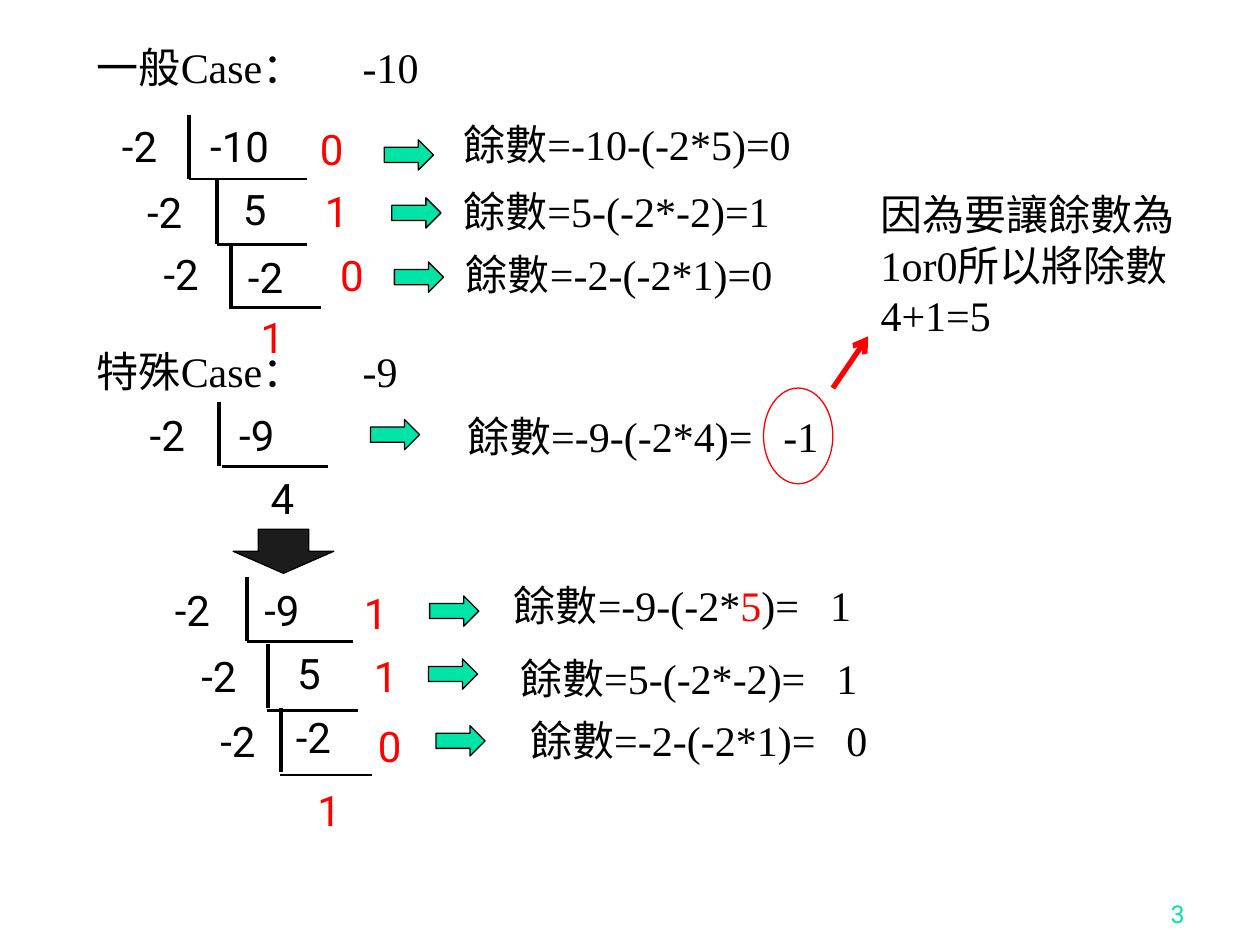
from lxml.etree import SubElement
from pptx import Presentation
from pptx.dml.color import RGBColor
from pptx.enum.shapes import MSO_CONNECTOR, MSO_SHAPE
from pptx.enum.text import MSO_ANCHOR, PP_ALIGN
from pptx.oxml.ns import qn
from pptx.util import Inches, Pt

BLACK, RED, GREEN = "000000", "FF0000", "00E4A8"
SANS, SERIF = "Roboto", "Times New Roman"
DIVISOR_W, EQUATION_W, TEXT_H = 0.63, 3.86, 0.5


def rgb(value):
    return RGBColor.from_string(value)


class SlideBuilder:
    def __init__(self, prs):
        self.slide = prs.slides.add_slide(prs.slide_layouts[6])

    def text(self, x, y, w, runs, color=BLACK, font=SANS, size=24, h=TEXT_H, tab=None):
        sp = self.slide.shapes.add_textbox(Inches(x), Inches(y), Inches(w), Inches(h))
        tf = sp.text_frame
        tf.word_wrap = True
        p = tf.paragraphs[0]
        if tab:
            tabs = SubElement(p._p.get_or_add_pPr(), qn("a:tabLst"))
            SubElement(tabs, qn("a:tab"), pos=str(Inches(tab)), algn="l")
        p.font.name = font
        p.font.size = Pt(size)
        if isinstance(runs, str):
            p.font.color.rgb = rgb(color)
            runs = [(runs, None)]
        for content, run_color in runs:
            r = p.add_run()
            r.text = content
            if run_color:
                r.font.color.rgb = rgb(run_color)
        return tf

    def heading(self, y, content):
        self.text(0.67, y, 8.66, content, font=SERIF, tab=2.11)

    def equation(self, x, y, runs):
        self.text(x, y, EQUATION_W, runs, font=SERIF, tab=2.51)

    def line(self, x1, y1, x2, y2, width, color=BLACK, arrow=False):
        cn = self.slide.shapes.add_connector(
            MSO_CONNECTOR.STRAIGHT, Inches(x1), Inches(y1), Inches(x2), Inches(y2))
        cn.line.color.rgb = rgb(color)
        cn.line.width = Pt(width)
        if arrow:
            SubElement(cn.line._get_or_add_ln(), qn("a:tailEnd"), type="arrow")
        SubElement(cn._element.spPr, qn("a:effectLst"))

    def shape(self, kind, x, y, w, h, fill, line=BLACK):
        sp = self.slide.shapes.add_shape(kind, Inches(x), Inches(y), Inches(w), Inches(h))
        sp.shadow.inherit = False
        sp.fill.solid()
        sp.fill.fore_color.rgb = rgb(fill)
        sp.line.color.rgb = rgb(line)
        sp.line.width = Pt(0.75)

    def step(self, divisor, value, remainder, bar, rule, arrow, equation):
        self.text(*divisor, DIVISOR_W, "-2")
        self.text(*value)
        if remainder:
            self.text(*remainder, color=RED)
        x, y = bar
        self.line(x, y, x, y + 0.51, 2.25)
        left, right, y = rule
        self.line(left, y, right, y, 1.5)
        self.shape(MSO_SHAPE.RIGHT_ARROW, *arrow, 0.39, 0.24, GREEN)
        self.equation(*equation)


STEPS = [
    ((0.87, 0.91), (1.57, 0.91, 1.02, "-10"), (2.44, 0.93, 0.45, "0"),
     (1.5, 0.91), (1.5, 2.44, 1.42), (3.05, 1.11), (3.58, 0.89, "餘數=-10-(-2*5)=0")),
    ((1.07, 1.43), (1.83, 1.41, 0.86, "5"), (2.48, 1.42, 0.63, "1"),
     (1.72, 1.43), (1.72, 2.44, 1.94), (3.11, 1.57), (3.58, 1.42, "餘數=5-(-2*-2)=1")),
    ((1.2, 1.92), (1.87, 1.95, 0.83, "-2"), (2.6, 1.93, 0.45, "0"),
     (1.83, 1.94), (1.83, 2.55, 2.44), (3.13, 2.08), (3.6, 1.92, "餘數=-2-(-2*1)=0")),
    ((1.09, 3.2), (1.8, 3.2, 1.02, "-9"), None,
     (1.74, 3.19), (1.76, 2.6, 3.7), (2.94, 3.33), (3.61, 3.21, "餘數=-9-(-2*4)=\t-1")),
    ((1.29, 4.59), (2, 4.59, 1.02, "-9"), (2.79, 4.61, 0.83, "1"),
     (1.96, 4.58), (1.96, 2.8, 5.09), (3.41, 4.73),
     (3.98, 4.55, [("餘數=-9-(-2*", BLACK), ("5", RED), (")=\t1", BLACK)])),
    ((1.5, 5.11), (2.26, 5.09, 0.87, "5"), (2.87, 5.11, 0.83, "1"),
     (2.13, 5.11), (2.12, 2.84, 5.64), (3.4, 5.23), (4.03, 5.13, "餘數=5-(-2*-2)=\t1")),
    ((1.65, 5.63), (2.25, 5.6, 0.83, "-2"), (2.9, 5.67, 0.45, "0"),
     (2.23, 5.62), (2.22, 2.95, 6.15), (3.46, 5.76), (4.11, 5.62, "餘數=-2-(-2*1)=\t0")),
]


def main():
    prs = Presentation()
    prs.slide_width, prs.slide_height = Inches(10), Inches(7.5)
    s = SlideBuilder(prs)

    s.shape(MSO_SHAPE.OVAL, 6.06, 3.08, 0.55, 0.76, "FFFFFF", RED)
    s.heading(0.28, "一般Case：\t-10")
    s.heading(2.69, "特殊Case：\t-9")
    for step in STEPS:
        s.step(*step)

    s.text(1.97, 2.42, 0.63, "1", RED)
    s.text(2.05, 3.7, 0.87, "4")
    s.text(2.42, 6.18, 0.83, "1", RED)
    s.shape(MSO_SHAPE.DOWN_ARROW, 1.85, 4.2, 0.8, 0.35, "1C1C1C")

    s.line(6.61, 3.08, 6.89, 2.67, 3, RED, arrow=True)
    s.text(6.89, 1.45, 2.76, "因為要讓餘數為1or0所以將除數4+1=5", font=SERIF, h=1.3)

    tf = s.text(7.42, 6.92, 2.08, "3", GREEN, size=14)
    tf.vertical_anchor = MSO_ANCHOR.BOTTOM
    tf.paragraphs[0].alignment = PP_ALIGN.RIGHT

    prs.save("out.pptx")


if __name__ == "__main__":
    main()
